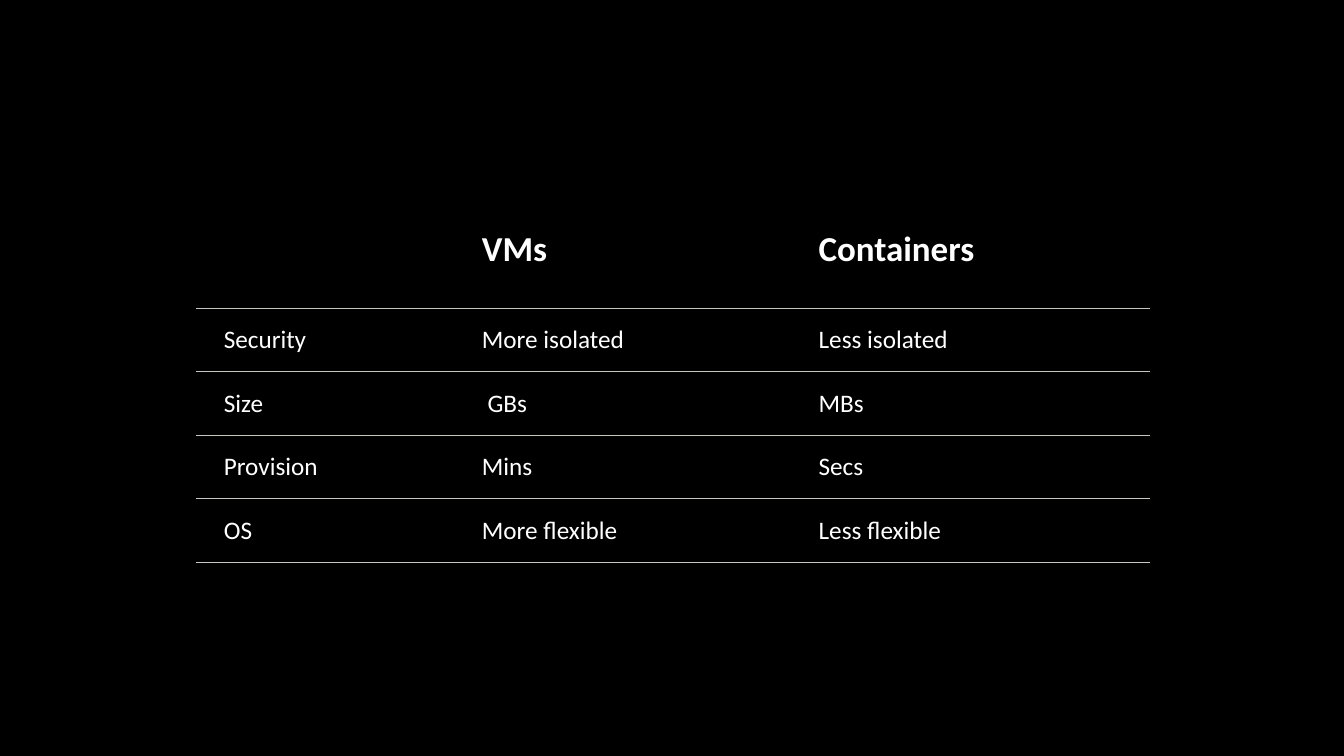
from lxml import etree
from pptx import Presentation
from pptx.dml.color import RGBColor
from pptx.enum.text import MSO_ANCHOR
from pptx.oxml import parse_xml
from pptx.oxml.ns import qn
from pptx.util import Inches, Pt

BLACK = RGBColor(0x00, 0x00, 0x00)
WHITE = RGBColor(0xFF, 0xFF, 0xFF)
RULE_GRAY = RGBColor(0xC7, 0xC6, 0xC1)
NO_GRID_STYLE = "{2D5ABB26-0587-4C30-8999-92F81FD0307C}"
DRAWING_NAMESPACE = "http://schemas.openxmlformats.org/drawingml/2006/main"

COMPARISON = [
    ["", "VMs", "Containers"],
    ["Security", "More isolated", "Less isolated"],
    ["Size", " GBs", "MBs"],
    ["Provision", "Mins", "Secs"],
    ["OS", "More flexible", "Less flexible"],
]
COLUMN_WIDTHS = [2.56, 3.34, 3.57]
HEADER_HEIGHT = 1.17
ROW_HEIGHT = 0.63


def add_bottom_rule(cell):
    rule = parse_xml(
        f'<a:lnB xmlns:a="{DRAWING_NAMESPACE}" w="{Pt(0.75)}">'
        f'<a:solidFill><a:srgbClr val="{RULE_GRAY}"/></a:solidFill></a:lnB>'
    )
    cell._tc.get_or_add_tcPr().insert(0, rule)


presentation = Presentation()
presentation.slide_width = Inches(13.33)
presentation.slide_height = Inches(7.5)
slide = presentation.slides.add_slide(presentation.slide_layouts[6])
slide.background.fill.solid()
slide.background.fill.fore_color.rgb = BLACK

table_height = HEADER_HEIGHT + ROW_HEIGHT * (len(COMPARISON) - 1)
table = slide.shapes.add_table(
    len(COMPARISON), len(COLUMN_WIDTHS), Inches(1.94), Inches(1.89),
    Inches(sum(COLUMN_WIDTHS)), Inches(table_height),
).table
table.horz_banding = False
table._tbl.tblPr.find(qn("a:tableStyleId")).text = NO_GRID_STYLE
for column, width in zip(table.columns, COLUMN_WIDTHS):
    column.width = Inches(width)

for row_index, labels in enumerate(COMPARISON):
    is_header = row_index == 0
    table.rows[row_index].height = Inches(HEADER_HEIGHT if is_header else ROW_HEIGHT)
    for column_index, label in enumerate(labels):
        cell = table.cell(row_index, column_index)
        cell.fill.background()
        cell.vertical_anchor = MSO_ANCHOR.MIDDLE
        cell.margin_left = Inches(0.28)
        cell.margin_right = Inches(0.21)
        cell.margin_top = cell.margin_bottom = Inches(0.14)
        add_bottom_rule(cell)
        cell.text_frame.text = label
        for run in cell.text_frame.paragraphs[0].runs:
            run.font.name = "Calibri"
            run.font.size = Pt(25 if is_header else 18)
            run.font.bold = is_header
            run.font.color.rgb = WHITE

presentation.save("out.pptx")
